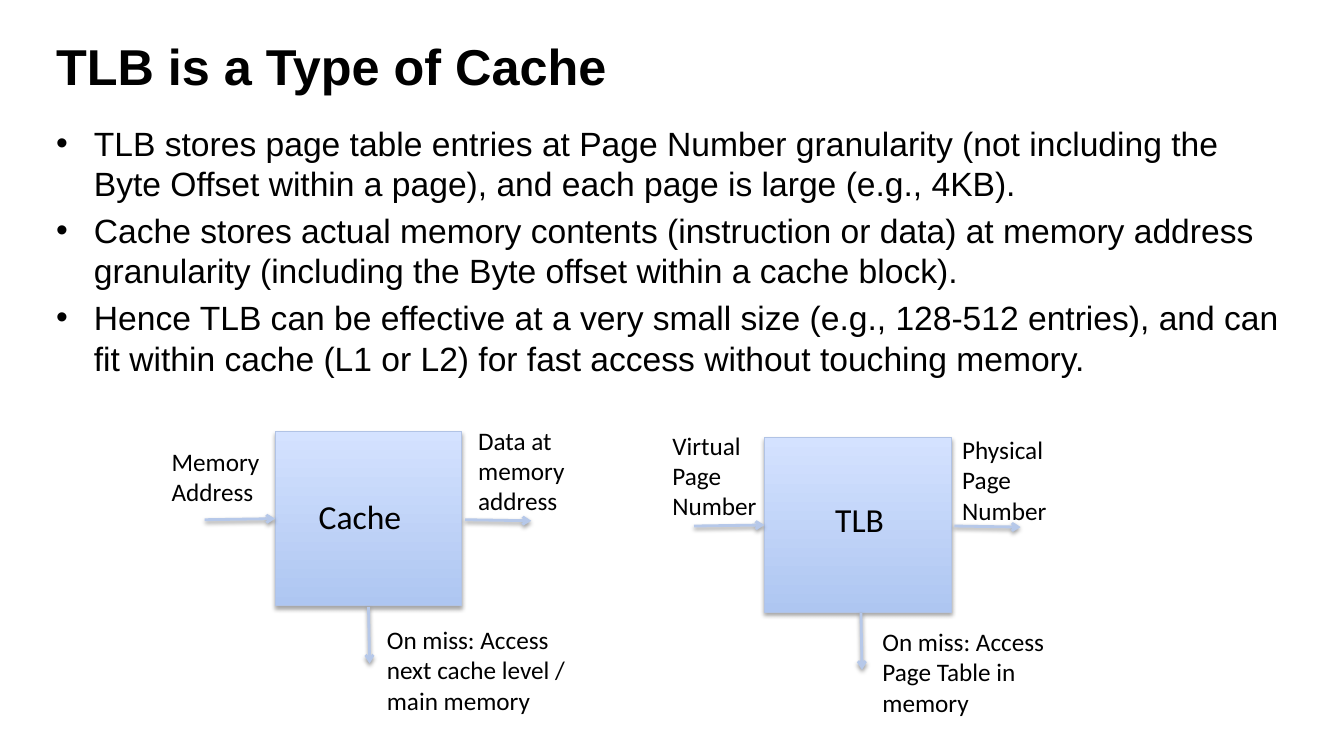
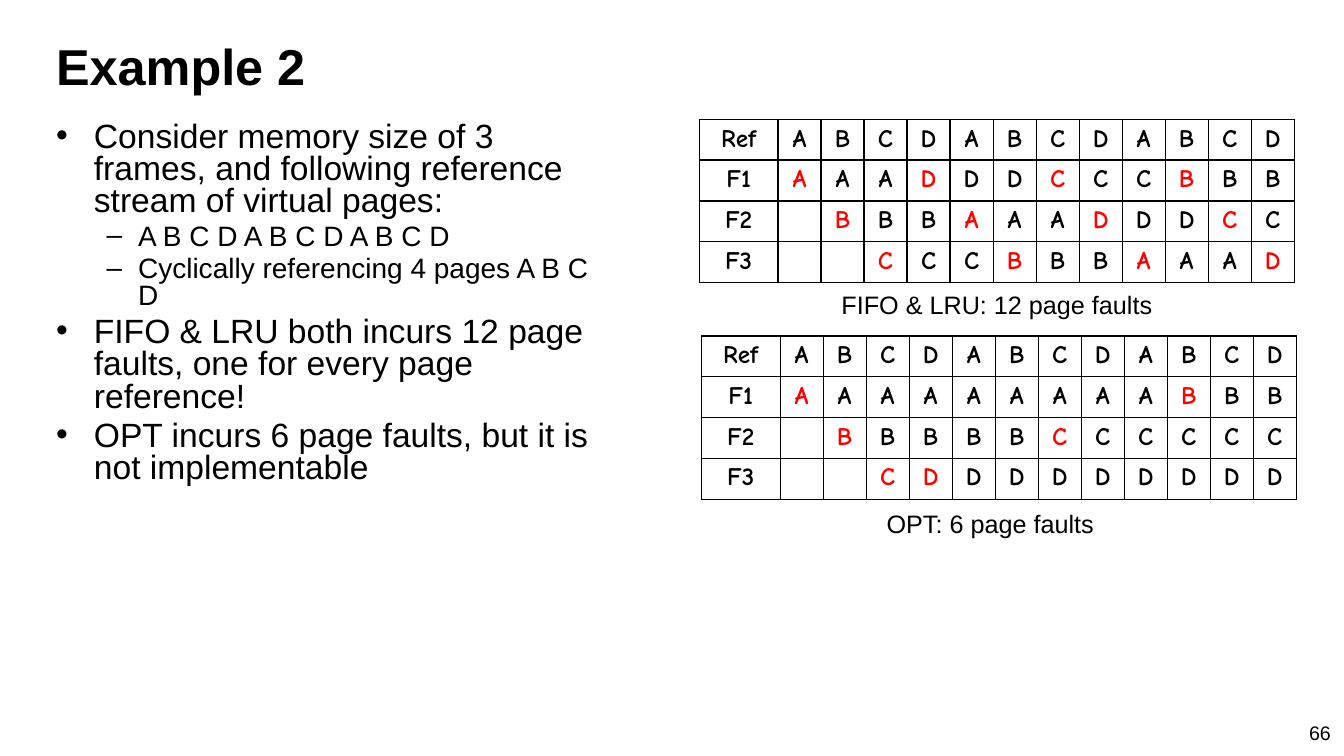
import dataclasses
import typing

import lxml.etree
import pptx
import pptx.dml.color
import pptx.enum.shapes
import pptx.enum.text
import pptx.oxml.ns
import pptx.util

EMU_PER_PX = 9525
qn = pptx.oxml.ns.qn


@dataclasses.dataclass(frozen=True)
class Theme:
    text: str = "000000"
    fault: str = "FF0000"
    box_bottom: str = "AEC6F1"
    box_top: str = "D4E2FF"
    box_line: str = "B1C3E5"
    arrow: str = "B6C8E9"
    main_font: str = "Arial"
    diagram_font: str = "Calibri"
    table_font: str = "Comic Neue"
    title_size: int = 36
    body_size: int = 24
    detail_size: int = 20
    label_size: int = 18
    number_size: int = 14


THEME = Theme()


class Box(typing.NamedTuple):
    left: int
    top: int
    width: int
    height: int


class Label(typing.NamedTuple):
    text: str
    box: Box


class Bullet(typing.NamedTuple):
    text: str
    level: int = 0


class BulletStyle(typing.NamedTuple):
    symbol: str
    margin: int
    hanging: int
    size: int


class Shadow(typing.NamedTuple):
    opacity: int
    blur: float
    distance: float


@dataclasses.dataclass(frozen=True)
class LookupDiagram:
    name: Label
    left: int
    top: int
    miss_offset: int
    labels: tuple[Label, ...]


@dataclasses.dataclass(frozen=True)
class FrameTable:
    left: int
    top: int
    frames: tuple[str, ...]
    caption: Label


BULLET_STYLES = (
    BulletStyle("•", 36, 36, THEME.body_size),
    BulletStyle("–", 78, 30, THEME.detail_size),
)
BOX_SHADOW = Shadow(35, 3.1, 1.8)
ARROW_SHADOW = Shadow(38, 3.1, 1.6)
BOX_WIDTH, BOX_HEIGHT = 178, 166
REFERENCES = "ABCDABCDABCD"
REF_WIDTH, PAGE_WIDTH = 75, 41
ROW_HEIGHTS = (38, 39, 39, 39)

TLB_BULLETS = (
    Bullet("TLB stores page table entries at Page Number granularity (not including the "
           "Byte Offset within a page), and each page is large (e.g., 4KB)."),
    Bullet("Cache stores actual memory contents (instruction or data) at memory address "
           "granularity (including the Byte offset within a cache block)."),
    Bullet("Hence TLB can be effective at a very small size (e.g., 128-512 entries), and can "
           "fit within cache (L1 or L2) for fast access without touching memory."),
)
EXAMPLE_BULLETS = (
    Bullet("Consider memory size of 3 frames, and following reference stream of virtual pages:"),
    Bullet("A B C D A B C D A B C D", 1),
    Bullet("Cyclically referencing 4 pages A B C D", 1),
    Bullet("FIFO & LRU both incurs 12 page faults, one for every page reference!"),
    Bullet("OPT incurs 6 page faults, but it is not implementable"),
)
DIAGRAMS = (
    LookupDiagram(
        Label("Cache", Box(294, 468, 124, 48)), 262, 411, 89,
        (
            Label("Memory Address", Box(154, 420, 113, 68)),
            Label("Data at memory address", Box(446, 400, 113, 97)),
            Label("On miss: Access next cache level / main memory", Box(359, 590, 200, 97)),
        ),
    ),
    LookupDiagram(
        Label("TLB", Box(786, 470, 94, 48)), 728, 417, 92,
        (
            Label("Virtual Page Number", Box(631, 405, 127, 97)),
            Label("Physical Page Number", Box(907, 409, 127, 97)),
            Label("On miss: Access Page Table in memory", Box(831, 592, 200, 97)),
        ),
    ),
)
TABLES = (
    FrameTable(
        666, 114, ("AAADDDCCCBBB", " BBBAAADDDCC", "  CCCBBBAAAD"),
        Label("FIFO & LRU: 12 page faults", Box(792, 271, 319, 38)),
    ),
    FrameTable(
        668, 320, ("AAAAAAAAABBB", " BBBBBCCCCCC", "  CDDDDDDDDD"),
        Label("OPT: 6 page faults", Box(835, 479, 232, 38)),
    ),
)


def px(length: int) -> int:
    return pptx.util.Emu(length * EMU_PER_PX)


def scaled(lengths: typing.Iterable[int]) -> list[int]:
    return [px(length) for length in lengths]


def rgb(color: str) -> pptx.dml.color.RGBColor:
    return pptx.dml.color.RGBColor.from_string(color)


def format_runs(paragraph, size: int, font: str, bold: bool = False,
                color: str = THEME.text) -> None:
    for run in paragraph.runs:
        run.font.size = pptx.util.Pt(size)
        run.font.name = font
        run.font.bold = bold
        run.font.color.rgb = rgb(color)


def add_label(slide, label: Label, size: int, font: str, bold: bool = False,
              alignment=pptx.enum.text.PP_ALIGN.LEFT) -> None:
    text_frame = slide.shapes.add_textbox(*scaled(label.box)).text_frame
    text_frame.word_wrap = True
    text_frame.text = label.text
    paragraph = text_frame.paragraphs[0]
    paragraph.alignment = alignment
    format_runs(paragraph, size, font, bold)


def add_bullets(slide, box: Box, bullets: tuple[Bullet, ...],
                line_spacing: float | None = None) -> None:
    text_frame = slide.shapes.add_textbox(*scaled(box)).text_frame
    text_frame.word_wrap = True
    text_frame.text = "\n".join(bullet.text for bullet in bullets)
    for index, (paragraph, bullet) in enumerate(zip(text_frame.paragraphs, bullets)):
        style = BULLET_STYLES[bullet.level]
        properties = paragraph._p.get_or_add_pPr()
        properties.set("marL", str(px(style.margin)))
        properties.set("indent", str(-px(style.hanging)))
        lxml.etree.SubElement(properties, qn("a:buFont"), typeface=THEME.main_font)
        lxml.etree.SubElement(properties, qn("a:buChar"), char=style.symbol)
        paragraph.level = bullet.level
        paragraph.line_spacing = line_spacing
        if index:
            paragraph.space_before = pptx.util.Pt(style.size * 0.2)
        format_runs(paragraph, style.size, THEME.main_font)


def add_shadow(shape, shadow: Shadow) -> None:
    effects = lxml.etree.SubElement(shape.element.spPr, qn("a:effectLst"))
    outer = lxml.etree.SubElement(
        effects, qn("a:outerShdw"),
        blurRad=str(pptx.util.Pt(shadow.blur)), dist=str(pptx.util.Pt(shadow.distance)),
        dir="5400000", rotWithShape="0")
    color = lxml.etree.SubElement(outer, qn("a:srgbClr"), val=THEME.text)
    lxml.etree.SubElement(color, qn("a:alpha"), val=str(shadow.opacity * 1000))


def add_arrow(slide, start: tuple[int, int], end: tuple[int, int]) -> None:
    connector = slide.shapes.add_connector(
        pptx.enum.shapes.MSO_CONNECTOR.STRAIGHT, *scaled(start + end))
    connector.line.color.rgb = rgb(THEME.arrow)
    connector.line.width = pptx.util.Pt(2)
    line = connector.element.spPr.find(qn("a:ln"))
    lxml.etree.SubElement(line, qn("a:tailEnd"), type="arrow")
    add_shadow(connector, ARROW_SHADOW)


def add_diagram(slide, diagram: LookupDiagram) -> None:
    left, top = diagram.left, diagram.top
    shape = slide.shapes.add_shape(
        pptx.enum.shapes.MSO_SHAPE.RECTANGLE, *scaled((left, top, BOX_WIDTH, BOX_HEIGHT)))
    shape.fill.gradient()
    shape.fill.gradient_angle = 90
    for position, (stop, color) in enumerate(
            zip(shape.fill.gradient_stops, (THEME.box_bottom, THEME.box_top))):
        stop.position = position
        stop.color.rgb = rgb(color)
    shape.line.color.rgb = rgb(THEME.box_line)
    shape.line.width = pptx.util.Pt(0.75)
    add_shadow(shape, BOX_SHADOW)
    right, bottom = left + BOX_WIDTH, top + BOX_HEIGHT
    miss = left + diagram.miss_offset
    add_arrow(slide, (left - 67, top + 84), (left, top + 83))
    add_arrow(slide, (right + 3, top + 84), (right + 66, top + 85))
    add_arrow(slide, (miss, bottom + 1), (miss + 1, bottom + 55))
    for label in diagram.labels:
        add_label(slide, label, THEME.label_size, THEME.diagram_font)
    add_label(slide, diagram.name, THEME.body_size, THEME.diagram_font)


def add_borders(cell) -> None:
    properties = cell._tc.get_or_add_tcPr()
    for side in ("lnL", "lnR", "lnT", "lnB"):
        line = lxml.etree.SubElement(properties, qn(f"a:{side}"), w=str(pptx.util.Pt(1)))
        fill = lxml.etree.SubElement(line, qn("a:solidFill"))
        lxml.etree.SubElement(fill, qn("a:srgbClr"), val=THEME.text)


def fill_cell(cell, text: str, color: str) -> None:
    add_borders(cell)
    cell.fill.background()
    cell.margin_left = cell.margin_right = px(4)
    cell.text_frame.text = text
    paragraph = cell.text_frame.paragraphs[0]
    paragraph.alignment = pptx.enum.text.PP_ALIGN.CENTER
    format_runs(paragraph, THEME.label_size, THEME.table_font, True, color)


def add_frame_table(slide, frame_table: FrameTable) -> None:
    column_widths = [REF_WIDTH] + [PAGE_WIDTH] * len(REFERENCES)
    box = Box(frame_table.left, frame_table.top, sum(column_widths), sum(ROW_HEIGHTS))
    table = slide.shapes.add_table(
        len(ROW_HEIGHTS), len(column_widths), *scaled(box)).table
    table.first_row = table.horz_banding = False
    for column, width in zip(table.columns, column_widths):
        column.width = px(width)
    for row, height in zip(table.rows, ROW_HEIGHTS):
        row.height = px(height)
    for row_index, pages in enumerate((REFERENCES, *frame_table.frames)):
        heading = f"F{row_index}" if row_index else "Ref"
        fill_cell(table.cell(row_index, 0), heading, THEME.text)
        for column_index, (previous, page) in enumerate(zip(" " + pages, pages), 1):
            is_fault = row_index > 0 and page != previous
            fill_cell(table.cell(row_index, column_index), page.strip(),
                      THEME.fault if is_fault else THEME.text)
    add_label(slide, frame_table.caption, THEME.label_size, THEME.main_font)


def add_titled_slide(presentation, title: str):
    slide = presentation.slides.add_slide(presentation.slide_layouts[6])
    add_label(slide, Label(title, Box(44, 29, 1190, 68)),
              THEME.title_size, THEME.main_font, True)
    return slide


def main() -> None:
    presentation = pptx.Presentation()
    presentation.slide_width, presentation.slide_height = scaled((1280, 720))

    slide = add_titled_slide(presentation, "TLB is a Type of Cache")
    add_bullets(slide, Box(44, 112, 1190, 540), TLB_BULLETS)
    for diagram in DIAGRAMS:
        add_diagram(slide, diagram)

    slide = add_titled_slide(presentation, "Example 2")
    add_bullets(slide, Box(44, 112, 548, 540), EXAMPLE_BULLETS, 0.8)
    for frame_table in TABLES:
        add_frame_table(slide, frame_table)
    add_label(slide, Label("66", Box(1217, 682, 60, 38)), THEME.number_size,
              THEME.main_font, alignment=pptx.enum.text.PP_ALIGN.RIGHT)

    presentation.save("out.pptx")


if __name__ == "__main__":
    main()
